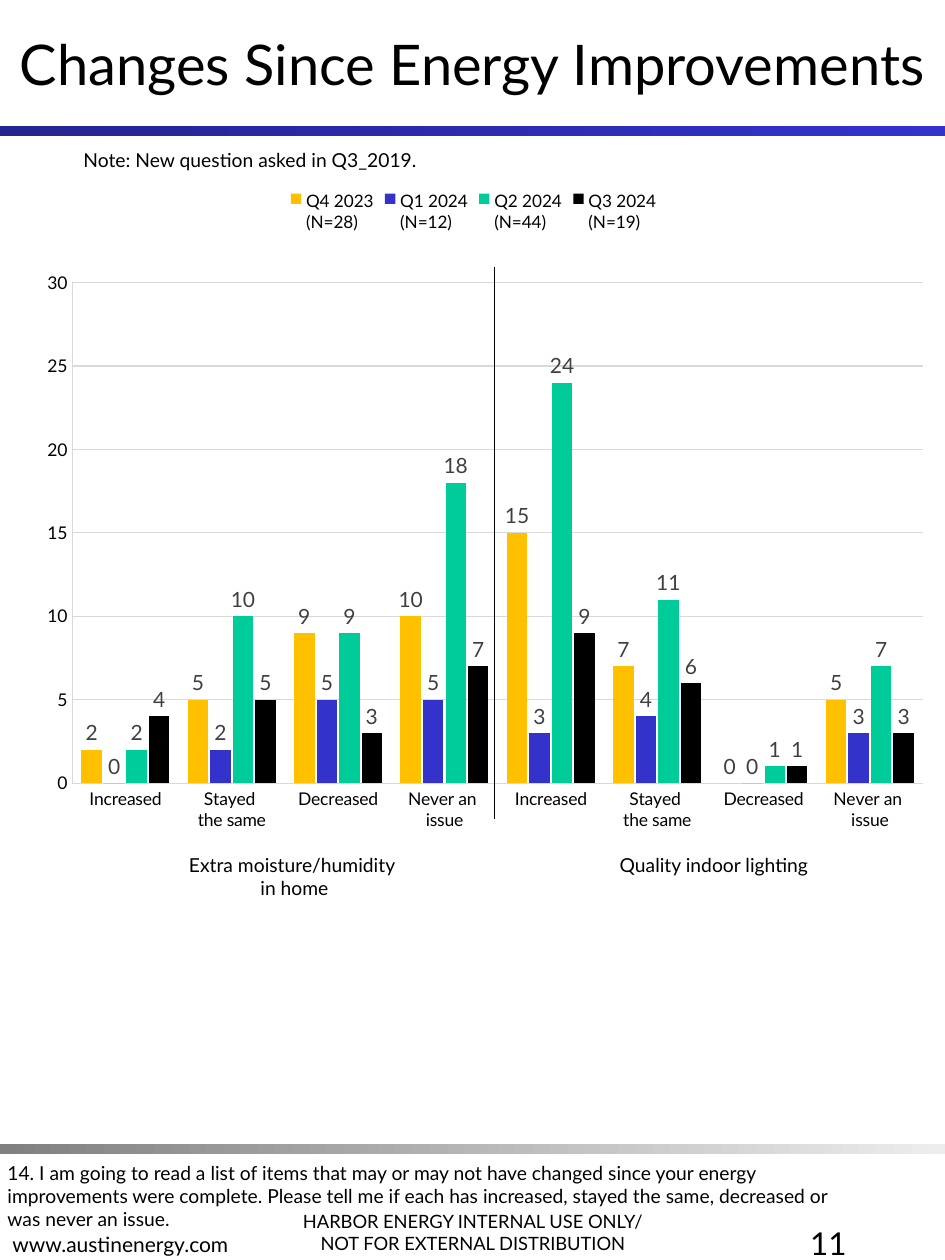
import pptx
import pptx.chart.data
import pptx.dml.color
import pptx.enum.chart
import pptx.enum.dml
import pptx.enum.shapes
import pptx.enum.text
import pptx.oxml
import pptx.oxml.ns
import pptx.util

PX = 914400 / 126
FONT = "Lato"
BLACK, GRID, LABEL = "000000", "D9D9D9", "404040"
ALIGN = pptx.enum.text.PP_ALIGN
ANCHOR = pptx.enum.text.MSO_ANCHOR
AXIS = pptx.enum.chart

TITLE = "Changes Since Energy Improvements"
BANDS = [(126, "242492", "3333CC"), (1144, "808080", "EDEDED")]
TEXTS = [
    (["HARBOR ENERGY INTERNAL USE ONLY/", "NOT FOR EXTERNAL DISTRIBUTION"],
     (272, 1176, 402, 84), 10.5, ALIGN.CENTER, ANCHOR.BOTTOM, True),
    (["www.austinenergy.com"], (0, 1179, 402, 84), 12, ALIGN.LEFT, ANCHOR.BOTTOM, True),
    (["11"], (662, 1218, 197, 84), 18, ALIGN.RIGHT, ANCHOR.TOP, True),
    (["Note: New question asked in Q3_2019."],
     (71, 142, 811, 37), 11, ALIGN.LEFT, ANCHOR.TOP, True),
    (["14. I am going to read a list of items that may or may not have changed since "
      "your energy improvements were complete. Please tell me if each has increased, "
      "stayed the same, decreased or was never an issue."],
     (-5, 1155, 863, 83), 11, ALIGN.LEFT, ANCHOR.TOP, True),
]
TOPICS = [
    (["Extra moisture/humidity ", "in home"],
     (179, 847, 231, 57), 11, ALIGN.CENTER, ANCHOR.TOP, False),
    (["Quality indoor lighting"],
     (609, 847, 210, 76), 11, ALIGN.CENTER, ANCHOR.TOP, False),
]
ANSWERS = ["Increased", "Stayed \nthe same", "Decreased", "Never an \nissue"]
QUARTERS = [
    ("Q4 2023\n(N=28)", "FFC000", (2, 5, 9, 10, 15, 7, 0, 5)),
    ("Q1 2024\n(N=12)", "3333CC", (0, 2, 5, 5, 3, 4, 0, 3)),
    ("Q2 2024\n(N=44)", "00CC99", (2, 10, 9, 18, 24, 11, 1, 7)),
    ("Q3 2024\n(N=19)", "000000", (4, 5, 3, 7, 9, 6, 1, 3)),
]
PLOT_AREA = {"x": 0.069, "y": 0.143, "w": 0.914, "h": 0.671}


def px(*lengths):
    return [round(length * PX) for length in lengths]


def color(value):
    return pptx.dml.color.RGBColor.from_string(value)


def assign(target, values):
    for name, value in values.items():
        setattr(target, name, value)


def style_font(font, size, value=BLACK):
    assign(font, {"name": FONT, "size": pptx.util.Pt(size), "bold": False})
    font.color.rgb = color(value)


def style_line(line, value, width):
    line.color.rgb = color(value)
    line.width = pptx.util.Pt(width)


def fill_text(frame, lines, size, align, anchor, wrap):
    assign(frame, {"text": "\n".join(lines), "word_wrap": wrap, "vertical_anchor": anchor,
                   "auto_size": pptx.enum.text.MSO_AUTO_SIZE.NONE})
    for paragraph in frame.paragraphs:
        paragraph.alignment = align
        style_font(paragraph.font, size)


def add_texts(slide, texts):
    for lines, box, *style in texts:
        fill_text(slide.shapes.add_textbox(*px(*box)).text_frame, lines, *style)


def add_band(slide, top, start, end):
    band = slide.shapes.add_shape(pptx.enum.shapes.MSO_SHAPE.RECTANGLE, *px(0, top, 945, 10))
    band.shadow.inherit = False
    band.line.fill.background()
    band.fill.gradient()
    band.fill.gradient_angle = 0
    for stop, value, position in zip(band.fill.gradient_stops, (start, end), (0, 1)):
        stop.color.rgb = color(value)
        stop.position = position


def add_chart(slide):
    answers = pptx.chart.data.CategoryChartData()
    answers.categories = ANSWERS * len(TOPICS)
    for name, _, counts in QUARTERS:
        answers.add_series(name, counts)
    chart = slide.shapes.add_chart(
        AXIS.XL_CHART_TYPE.COLUMN_CLUSTERED, *px(8, 176, 931, 746), answers).chart
    assign(chart, {"has_title": False, "has_legend": True})
    style_font(chart.font, 10)
    assign(chart.legend, {"position": AXIS.XL_LEGEND_POSITION.TOP, "include_in_layout": False})
    style_font(chart.legend.font, 9.8)

    for axis, width in ((chart.category_axis, 0.62), (chart.value_axis, 0.41)):
        assign(axis, {"major_tick_mark": AXIS.XL_TICK_MARK.NONE,
                      "minor_tick_mark": AXIS.XL_TICK_MARK.NONE})
        style_font(axis.tick_labels.font, 10)
        style_line(axis.format.line, GRID, width)
    assign(chart.value_axis, {"minimum_scale": 0, "maximum_scale": 30, "major_unit": 5,
                              "has_major_gridlines": True})
    style_line(chart.value_axis.major_gridlines.format.line, GRID, 0.62)

    plot = chart.plots[0]
    assign(plot, {"gap_width": 90, "overlap": -10, "vary_by_categories": False})
    for series, (_, value, _) in zip(plot.series, QUARTERS):
        series.format.fill.solid()
        series.format.fill.fore_color.rgb = color(value)
        assign(series.data_labels, {"show_value": True,
                                    "position": AXIS.XL_LABEL_POSITION.OUTSIDE_END})
        style_font(series.data_labels.font, 12, LABEL)

    modes = "".join(f'<c:{side}Mode val="edge"/>' for side in "xy")
    extents = "".join(f'<c:{side} val="{share}"/>' for side, share in PLOT_AREA.items())
    layout = pptx.oxml.parse_xml(
        f'<c:layout {pptx.oxml.ns.nsdecls("c")}><c:manualLayout>'
        f'<c:layoutTarget val="inner"/>{modes}{extents}</c:manualLayout></c:layout>')
    plot_area = chart.element.find(".//" + pptx.oxml.ns.qn("c:plotArea"))
    for old in plot_area.findall(pptx.oxml.ns.qn("c:layout")):
        plot_area.remove(old)
    plot_area.insert(0, layout)


def add_divider(slide):
    divider = slide.shapes.add_connector(
        pptx.enum.shapes.MSO_CONNECTOR.STRAIGHT, *px(494, 267, 494, 819))
    style_line(divider.line, BLACK, 0.25)
    divider.element.spPr.append(
        pptx.oxml.parse_xml(f'<a:effectLst {pptx.oxml.ns.nsdecls("a")}/>'))


def main():
    deck = pptx.Presentation()
    deck.slide_width, deck.slide_height = px(945, 1260)
    slide = deck.slides.add_slide(deck.slide_layouts[5])
    title = slide.shapes.title
    assign(title, dict(zip(("left", "top", "width", "height"), px(0, 0, 945, 126))))
    fill_text(title.text_frame, [TITLE], 32, ALIGN.CENTER, ANCHOR.MIDDLE, True)
    for band in BANDS:
        add_band(slide, *band)
    add_texts(slide, TEXTS)
    add_chart(slide)
    add_texts(slide, TOPICS)
    add_divider(slide)
    deck.save("out.pptx")


if __name__ == "__main__":
    main()
